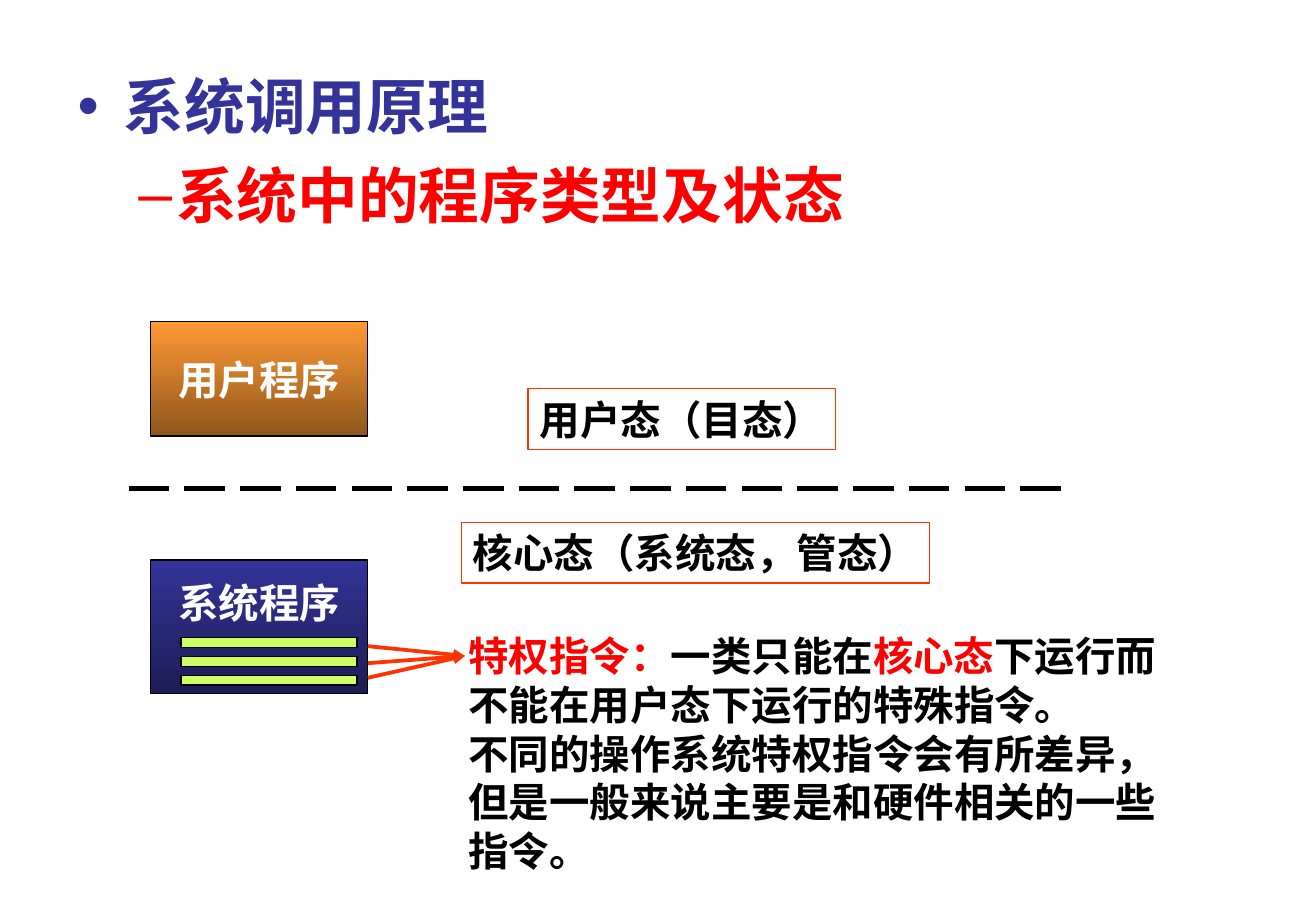
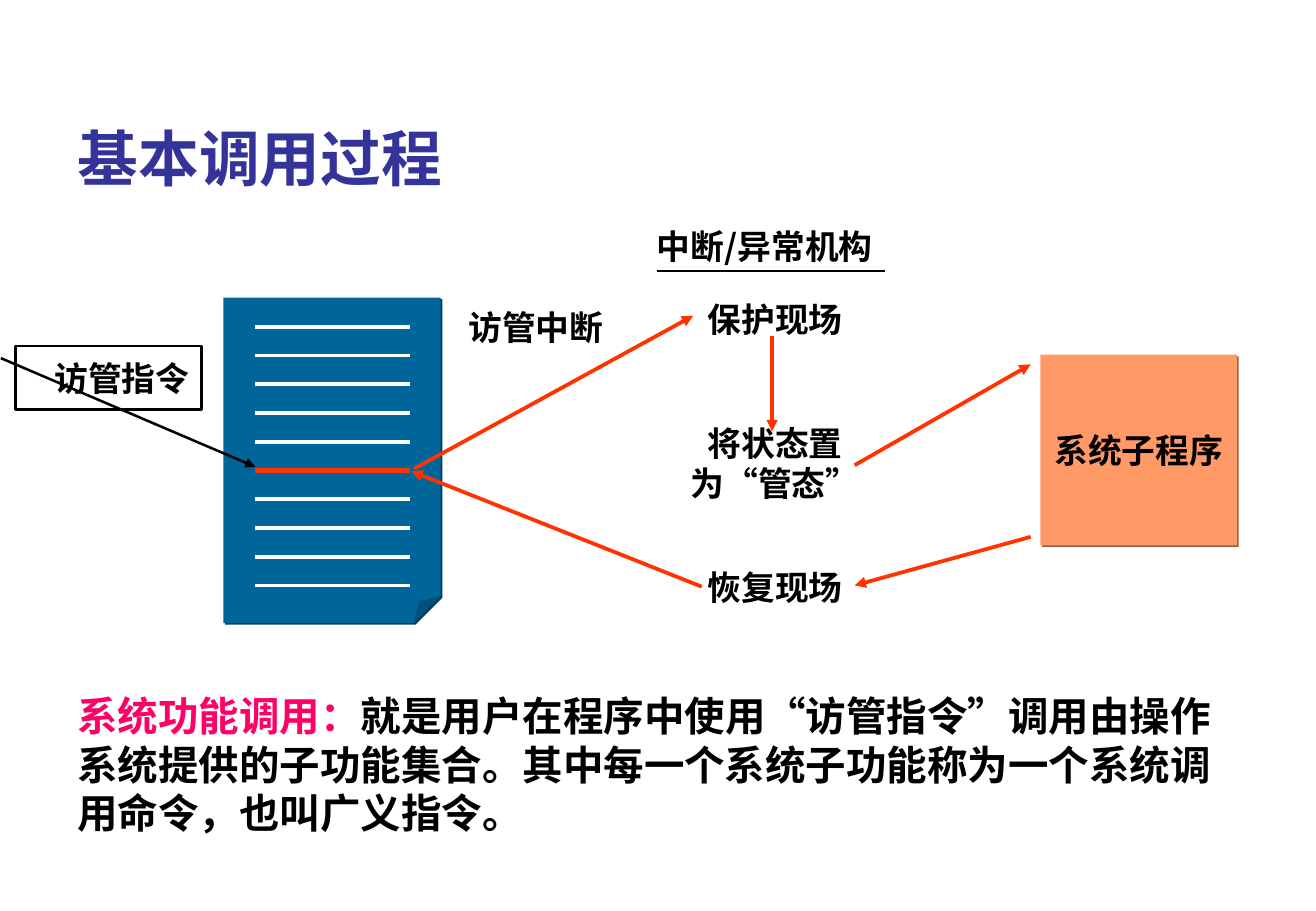
from dataclasses import dataclass

from lxml import etree
from pptx import Presentation
from pptx.dml.color import RGBColor
from pptx.enum.dml import MSO_LINE
from pptx.enum.shapes import MSO_CONNECTOR, MSO_SHAPE
from pptx.enum.text import MSO_ANCHOR, MSO_AUTO_SIZE, PP_ALIGN
from pptx.oxml.ns import qn
from pptx.util import Inches, Pt

RECT, FOLD, CALL = MSO_SHAPE.RECTANGLE, MSO_SHAPE.FOLDED_CORNER, MSO_SHAPE.LINE_CALLOUT_1
LEFT, MID, RIGHT = PP_ALIGN.LEFT, PP_ALIGN.CENTER, PP_ALIGN.RIGHT
TOP, CORE = MSO_ANCHOR.TOP, MSO_ANCHOR.MIDDLE


@dataclass(frozen=True)
class Theme:
    navy: str = "333399"
    dusk: str = "1D1D56"
    gold: str = "FF9933"
    rust: str = "8F561D"
    lime: str = "CCFF66"
    red: str = "FF0000"
    flame: str = "FF3300"
    pink: str = "FF0066"
    sea: str = "006699"
    deep: str = "003D5C"
    peach: str = "FF9966"
    clay: str = "995C3D"
    black: str = "000000"
    white: str = "FFFFFF"
    head: int = 36
    text: int = 24
    label: int = 20
    pitch: float = 1.2
    sans: str = "Arial"
    serif: str = "Times New Roman"
    han: str = "Noto Sans CJK SC"
    thin: float = 0.75
    rule: float = 1.5
    line: float = 2.25
    bold: float = 3


T = Theme()
WIDE, HIGH = 10.84, 7.5
EDGE, SPAN = 0.54, 9.75  # shared left margin and width

# Slide 1
TOPICS = [("•", "系统调用原理", T.navy, 0.38, 0.38),
          ("–", "系统中的程序类型及状态", T.red, 0.81, 0.31)]
PROGS = [("用户程序", 2.65, 0.94, T.gold, T.rust, CORE, 0.05),
         ("系统程序", 4.61, 1.1, T.navy, T.dusk, TOP, 0.15)]
STATES = [("用户态（目态）", (4.35, 3.2, 2.53, 0.5)),
          ("核心态（系统态，管态）", (3.8, 4.3, 3.86, 0.5))]
RULES = [[("特权指令：", T.red), ("一类只能在", T.black), ("核心态", T.red),
          ("下运行而不能在用户态下运行的特殊指令。", T.black)],
         [("不同的操作系统特权指令会有所差异，但是一般来说主要是和硬件相关的一些指令。",
           T.black)]]
BARS = 3
STARTS = [5.32, 5.46, 5.58]

# Slide 2
HEAD = "基本调用过程"
ROWS, CALLROW = 10, 5
LABELS = [(["中断/异常机构"], (5.24, 1.81, 2.12, 0.44), T.han),
          (["保护现场"], (5.73, 2.41, 1.31, 0.44), T.serif),
          (["将状态置", "为“管态”"], (5.59, 3.43, 1.59, 0.77), T.serif),
          (["恢复现场"], (5.73, 4.62, 1.31, 0.44), T.serif),
          (["访管中断"], (3.76, 2.48, 1.31, 0.44), T.serif)]
FLOWS = [((3.41, 3.86), (5.71, 2.6)), ((6.36, 2.77), (6.36, 3.55)),
         ((7.04, 3.83), (8.49, 3)), ((8.49, 4.42), (7.04, 4.82)),
         ((5.78, 4.83), (3.39, 3.88))]
SUMUP = [[("系统功能调用：", T.pink), ("就是用户在程序中使用", T.black),
          ("“", T.black, T.han), ("访管指令", T.black), ("”", T.black, T.han),
          ("调用由操作系统提供的子功能集合。其中每一个系统子功能称为一个系统调用命令，"
           "也叫广义指令。", T.black)]]


def rgb(hue):
    return RGBColor.from_string(hue)


def sub(node, tag, **attrs):
    return etree.SubElement(node, qn("a:" + tag), attrs)


def place(shape, box):
    shape.left, shape.top, shape.width, shape.height = map(Inches, box)


def write(shape, paras, size, face, align=LEFT, anchor=TOP, wrap=True):
    """Fill a shape with paragraphs, each a list of (text, colour[, font])."""
    frame = shape.text_frame
    frame.word_wrap, frame.auto_size = wrap, MSO_AUTO_SIZE.NONE
    frame.vertical_anchor = anchor
    for i, runs in enumerate(paras):
        para = frame.add_paragraph() if i else frame.paragraphs[0]
        para.alignment, para.line_spacing = align, Pt(size * T.pitch)
        para.space_before = Pt(0)
        for text, hue, *font in runs:
            run = para.add_run()
            run.text = text
            run.font.size, run.font.bold = Pt(size), True
            run.font.color.rgb = rgb(hue)
            run.font.name = font[0] if font else face
            sub(run.font._element, "ea", typeface=T.han)
    return frame


def draw(slide, kind, box, fill=None, edge=None, width=T.thin, shade=None):
    """Add a preset shape; fill is a colour or a (top, bottom) gradient."""
    shape = slide.shapes.add_shape(kind, *map(Inches, box))
    shape.shadow.inherit = False
    if isinstance(fill, tuple):
        shape.fill.gradient()
        shape.fill.gradient_angle = 270
        for stop, hue in zip(shape.fill.gradient_stops, fill):
            stop.color.rgb = rgb(hue)
    elif fill:
        shape.fill.solid()
        shape.fill.fore_color.rgb = rgb(fill)
    else:
        shape.fill.background()
    if edge:
        shape.line.color.rgb = rgb(edge)
        shape.line.width = Pt(width)
    else:
        shape.line.fill.background()
    if shade:
        glow = sub(shape._element.spPr.find(qn("a:effectLst")), "outerShdw",
                   dist=str(Pt(1.4)), dir="2700000", algn="ctr", rotWithShape="0")
        sub(glow, "srgbClr", val=shade)
    return shape


def adjust(shape, **guides):
    """Set the preset's guides, given as shares of its size."""
    geom = shape._element.spPr.find(qn("a:prstGeom"))
    for child in list(geom):
        geom.remove(child)
    store = sub(geom, "avLst")
    for name, share in guides.items():
        sub(store, "gd", name=name, fmla=f"val {round(share * 100000)}")


def arrow(line):
    sub(line._get_or_add_ln(), "tailEnd", type="triangle")


def link(slide, start, end, hue, width=T.line, tip=False):
    wire = slide.shapes.add_connector(MSO_CONNECTOR.STRAIGHT,
                                      *map(Inches, (*start, *end)))
    wire.line.color.rgb = rgb(hue)
    wire.line.width = Pt(width)
    if tip:
        arrow(wire.line)
    sub(wire._element.spPr, "effectLst")
    return wire


def note(slide, paras, box, size, face, align=LEFT, wrap=True):
    write(slide.shapes.add_textbox(*map(Inches, box)), paras, size, face, align, wrap=wrap)


def states(deck):
    slide = deck.slides.add_slide(deck.slide_layouts[1])
    title, body = slide.placeholders
    title._element.getparent().remove(title._element)
    place(body, (EDGE, 0.52, SPAN, 1.6))
    frame = write(body, [[(text, hue)] for _, text, hue, *_ in TOPICS], T.head, T.sans)
    for i, (mark, _, hue, inset, hang) in enumerate(TOPICS):
        para = frame.paragraphs[i]
        para.level = i
        props = para._p.get_or_add_pPr()
        props.set("marL", str(Inches(inset)))
        props.set("indent", str(-Inches(hang)))
        sub(sub(props, "buClr"), "srgbClr", val=hue)
        sub(props, "buFont", typeface=T.sans)
        sub(props, "buChar", char=mark)
        para.space_before = Pt(9 if i else 0)

    for text, top, tall, light, dark, anchor, inset in PROGS:
        prog = draw(slide, RECT, (1.24, top, 1.79, tall), (light, dark), T.black)
        frame = write(prog, [[(text, T.white)]], T.text, T.serif, MID, anchor, False)
        frame.margin_top = Inches(inset)
    dash = link(slide, (1.06, 4.02), (8.83, 4.02), T.black, T.bold)
    dash.line.dash_style = MSO_LINE.LONG_DASH
    for text, box in STATES:
        write(draw(slide, RECT, box, edge=T.flame), [[(text, T.black)]],
              T.text, T.serif, MID, wrap=False)
    for i in range(BARS):
        draw(slide, RECT, (1.49, 5.25 + i * 0.155, 1.45, 0.08), T.lime, T.black)
    note(slide, RULES, (3.76, 5.15, 6.09, 2.1), T.text, T.han)
    for top in STARTS:
        link(slide, (3.03, top), (3.83, 5.4), T.flame, tip=True)


def calls(deck):
    slide = deck.slides.add_slide(deck.slide_layouts[5])
    title = slide.shapes.title
    place(title, (EDGE, 0.94, SPAN, 0.8))
    write(title, [[(HEAD, T.navy)]], T.head, T.sans)

    page = draw(slide, FOLD, (1.84, 2.45, 1.79, 2.68), T.sea, shade=T.deep)
    adjust(page, adj=0.125)
    for i in range(ROWS):
        top = 2.69 + i * 2.13 / (ROWS - 1)
        hue, width = (T.flame, T.bold) if i == CALLROW else (T.white, T.line)
        link(slide, (2.1, top), (3.38, top), hue, width)
    call = draw(slide, CALL, (0.13, 2.85, 1.53, 0.52), edge=T.black, width=T.rule)
    adjust(call, adj1=0.19, adj2=-0.08, adj3=1.91, adj4=1.29)
    arrow(call.line)
    write(call, [[("访管指令", T.black)]], T.label, T.serif, RIGHT, CORE)

    task = draw(slide, RECT, (8.57, 2.92, 1.62, 1.57), T.peach, shade=T.clay)
    write(task, [[("系统子程序", T.black)]], T.label, T.serif, MID, CORE, False)
    for lines, box, face in LABELS:
        note(slide, [[(text, T.black)] for text in lines], box, T.label, face, MID, False)
    link(slide, (5.41, 2.23), (7.29, 2.23), T.black, T.rule)
    for start, end in FLOWS:
        link(slide, start, end, T.flame, tip=True)
    note(slide, SUMUP, (EDGE, 5.64, SPAN, 1.3), T.text, T.serif)


def main():
    deck = Presentation()
    deck.slide_width, deck.slide_height = Inches(WIDE), Inches(HIGH)
    states(deck)
    calls(deck)
    deck.save("out.pptx")


if __name__ == "__main__":
    main()
